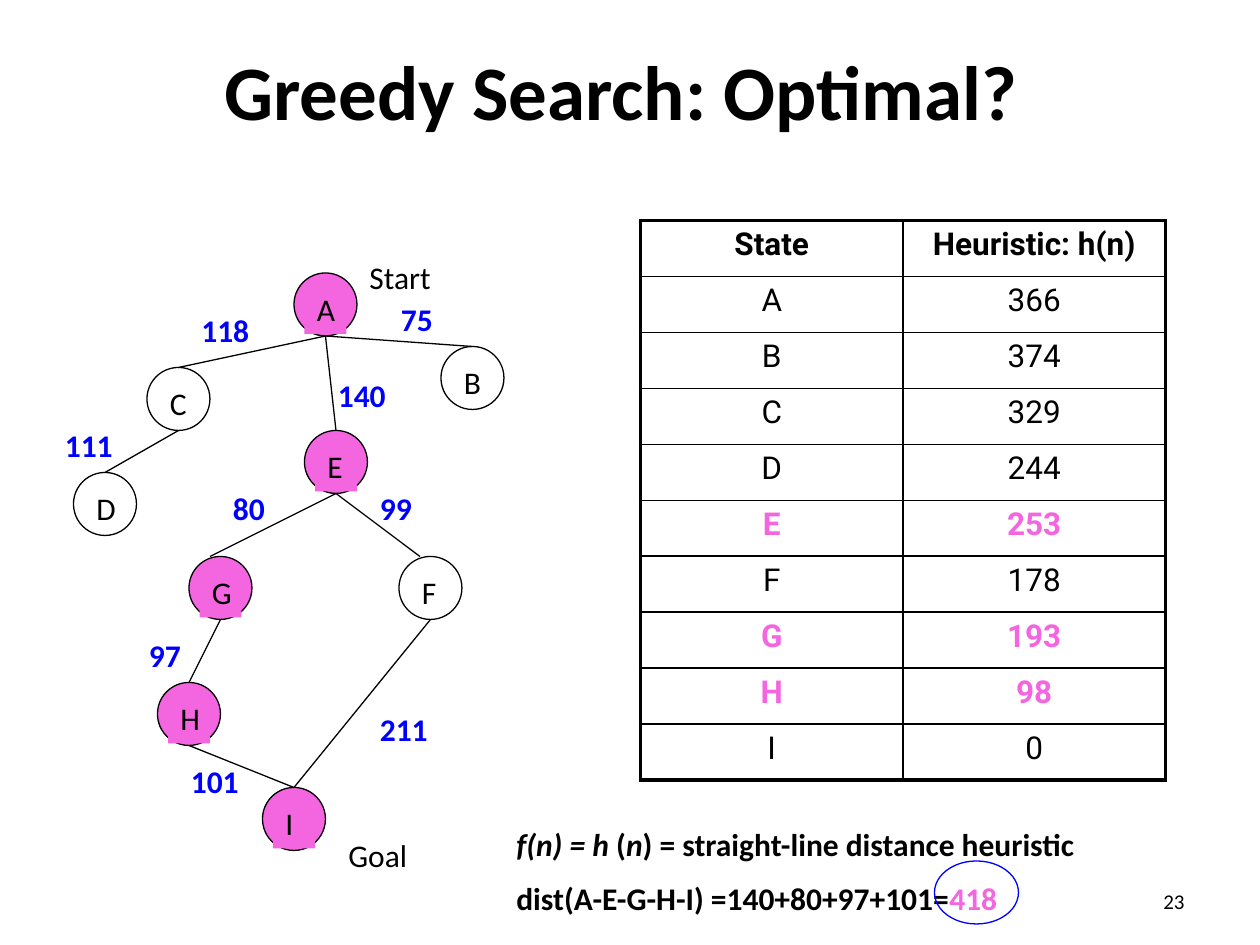
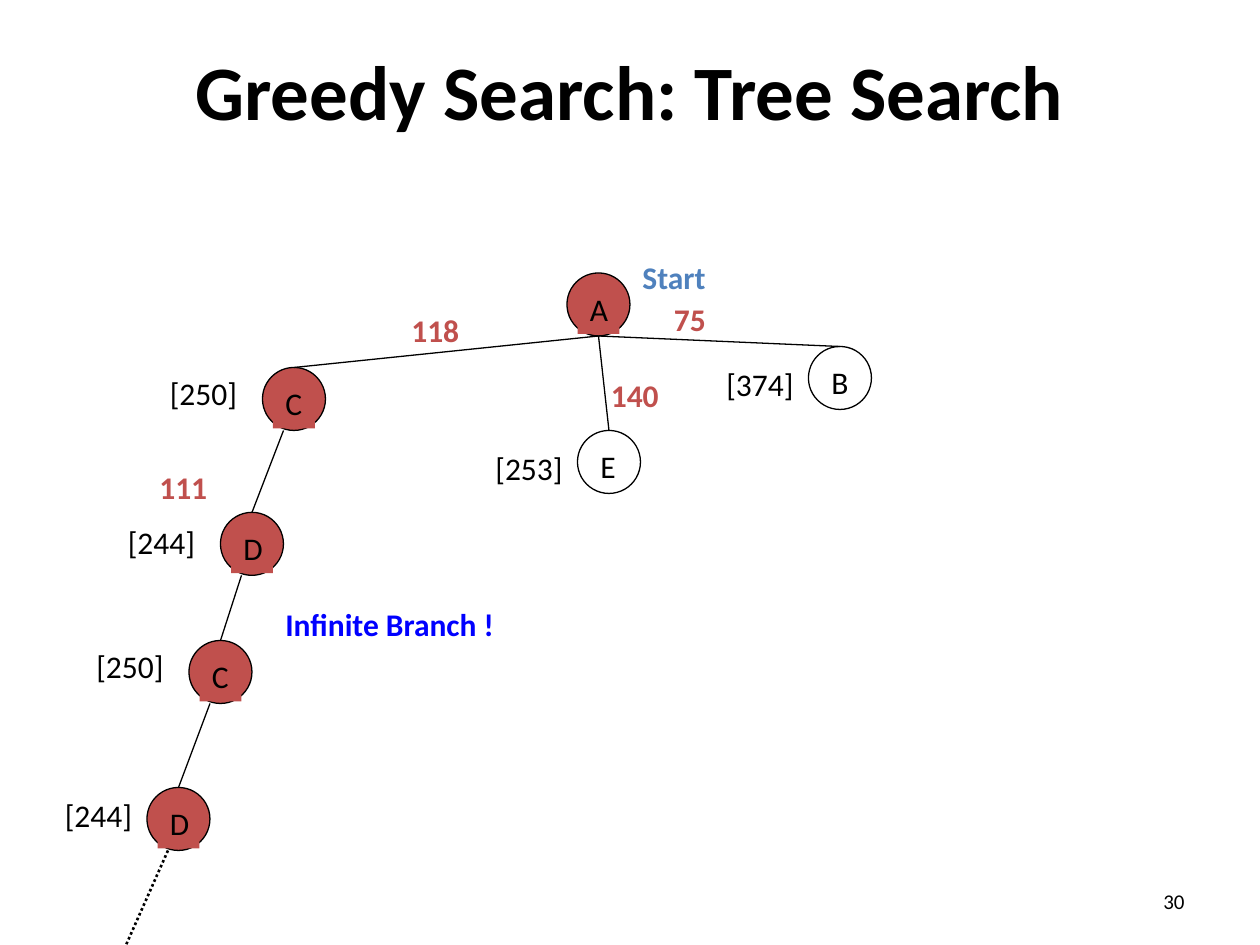
from lxml.etree import SubElement
from pptx import Presentation
from pptx.dml.color import RGBColor as RGB
from pptx.enum.dml import MSO_LINE as DASH
from pptx.enum.shapes import MSO_CONNECTOR as LINE, MSO_SHAPE as SHAPE
from pptx.enum.text import MSO_ANCHOR as ANCHOR, MSO_AUTO_SIZE as AUTO, PP_ALIGN as ALIGN
from pptx.oxml.ns import qn
from pptx.util import Inches, Pt

BLACK = RGB(0x00, 0x00, 0x00)
BLUE = RGB(0x00, 0x00, 0xFF)
PINK = RGB(0xF4, 0x66, 0xE0)
RED = RGB(0xC0, 0x50, 0x4D)
STEEL = RGB(0x4F, 0x81, 0xBD)

WIDTH, HEIGHT = Inches(10), Inches(7.5)
COLS, ROWS = 120, 90
NODE = 6
LABEL_ROWS = 4.8

HEURISTIC = [("State", "Heuristic: h(n)"), ("A", "366"), ("B", "374"), ("C", "329"),
             ("D", "244"), ("E", "253"), ("F", "178"), ("G", "193"), ("H", "98"), ("I", "0")]


def x(cols):
    """Convert grid columns to a length."""
    return round(WIDTH * cols / COLS)


def y(rows):
    """Convert grid rows to a length."""
    return round(HEIGHT * rows / ROWS)


def box(col, row, cols, rows):
    """Return left, top, width and height of a grid area."""
    return x(col), y(row), x(cols), y(rows)


def add_run(p, text, color=BLACK, bold=False, italic=False, size=18, font="Calibri"):
    """Append one formatted run to a paragraph."""
    r = p.add_run()
    r.text = text
    f = r.font
    f.name, f.size, f.bold, f.italic = font, Pt(size), bold, italic
    f.color.rgb = color


def add_label(shapes, text, col, row, cols=11, rows=LABEL_ROWS, **style):
    """Add a text box holding one run and return it."""
    sp = shapes.add_textbox(*box(col, row, cols, rows))
    sp.text_frame.word_wrap = True
    add_run(sp.text_frame.paragraphs[0], text, **style)
    return sp


def add_ellipse(shapes, area, line, fill=None):
    """Add a thinly outlined ellipse, filled if a colour is given."""
    sp = shapes.add_shape(SHAPE.OVAL, *box(*area))
    sp.shadow.inherit = False
    sp.line.color.rgb = line
    sp.line.width = Pt(0.75)
    if fill is None:
        sp.fill.background()
    else:
        sp.fill.solid()
        sp.fill.fore_color.rgb = fill


def add_node(s, name, col, row, fill=None):
    """Add a tree node: a circle grouped with its letter."""
    shapes = s.shapes.add_group_shape().shapes
    add_ellipse(shapes, (col, row, NODE, NODE), BLACK, fill)
    letter = add_label(shapes, name, col + 1, row + 1, 4)
    if fill is not None:
        letter.fill.solid()
        letter.fill.fore_color.rgb = fill


def add_line(s, start, end, width=0.75, dash=None):
    """Draw a black line between two grid points."""
    c = s.shapes.add_connector(LINE.STRAIGHT, x(start[0]), y(start[1]), x(end[0]), y(end[1]))
    c.line.color.rgb = BLACK
    c.line.width = Pt(width)
    if dash is not None:
        c.line.dash_style = dash
    SubElement(c.element.spPr, qn("a:effectLst"))


def add_tree(s, nodes, edges, visited, fill):
    """Draw nodes, then edges from parent bottom to child top, shifted in columns."""
    for key, (col, row) in nodes.items():
        add_node(s, key[0], col, row, fill if key in visited else None)
    for parent, child, from_shift, to_shift in edges:
        (pc, pr), (cc, cr) = nodes[parent], nodes[child]
        add_line(s, (pc + NODE / 2 + from_shift, pr + NODE), (cc + NODE / 2 + to_shift, cr))


def add_costs(s, costs, color):
    """Label the edges with their step costs."""
    for text, col, row in costs:
        add_label(s.shapes, text, col, row, color=color, bold=True)


def set_border(cell, side, width):
    """Give one side of a cell a black border."""
    ln = SubElement(cell._tc.get_or_add_tcPr(), qn(f"a:ln{side}"), w=str(Pt(width)))
    SubElement(SubElement(ln, qn("a:solidFill")), qn("a:srgbClr"), val=str(BLACK))


def add_table(s, rows, chosen):
    """Add the heuristic table with a thick frame and chosen states highlighted."""
    last_row, last_col = len(rows) - 1, len(rows[0]) - 1
    tbl = s.shapes.add_table(len(rows), len(rows[0]), *box(61, 21, 50, 53.3)).table
    tbl.first_row = tbl.horz_banding = False
    for i, values in enumerate(rows):
        for j, text in enumerate(values):
            cell = tbl.cell(i, j)
            outer = {"L": j == 0, "R": j == last_col, "T": i == 0, "B": i == last_row}
            for side, thick in outer.items():
                set_border(cell, side, 2.25 if thick else 1)
            cell.fill.background()
            p = cell.text_frame.paragraphs[0]
            p.alignment = ALIGN.CENTER
            hit = values[0] in chosen
            add_run(p, text, PINK if hit else BLACK, bold=hit or i == 0, font="Roboto")


def add_slide(prs, title, number):
    """Add a slide with the shared title style and page number."""
    s = prs.slides.add_slide(prs.slide_layouts[5])
    sp = s.shapes.title
    sp.left, sp.top, sp.width, sp.height = box(1, 1, 118, 15)
    tf = sp.text_frame
    tf.auto_size, tf.vertical_anchor = AUTO.NONE, ANCHOR.MIDDLE
    p = tf.paragraphs[0]
    p.alignment = ALIGN.CENTER
    add_run(p, title, bold=True, size=44)
    tf = add_label(s.shapes, number, 86, 83.4, 28, size=12).text_frame
    tf.vertical_anchor = ANCHOR.MIDDLE
    tf.paragraphs[0].alignment = ALIGN.RIGHT
    return s


def add_distance(s):
    """State the heuristic and the length of the path found."""
    sp = add_label(s.shapes, "f(n) = h ", 48, 78, 72, 10.2, bold=True, italic=True)
    p = sp.text_frame.paragraphs[0]
    add_run(p, "(", bold=True)
    add_run(p, "n", bold=True, italic=True)
    add_run(p, ") = straight-line distance heuristic", bold=True)
    p = sp.text_frame.add_paragraph()
    p.space_before = Pt(9)
    add_run(p, "dist(A-E-G-H-I) =140+80+97+101=", bold=True)
    add_run(p, "418", PINK, bold=True)
    add_ellipse(s.shapes, (89, 82, 8, 6), BLUE)


def build_optimal(prs):
    """Build the slide that tests whether greedy search is optimal."""
    s = add_slide(prs, "Greedy Search: Optimal? ", "23")
    add_table(s, HEURISTIC, "EGH")
    nodes = {"A": (28, 26), "B": (42, 33), "D": (7, 45), "C": (14, 35), "E": (29, 41),
             "F": (38, 53), "I": (25, 75), "G": (18, 53), "H": (15, 65)}
    edges = [("E", "F", 0, -1), ("F", "I", 0, 0), ("E", "G", 0, -1), ("G", "H", 0, 0),
             ("H", "I", 0, 0), ("A", "B", 0, 0), ("A", "E", 0, 0), ("A", "C", 0, 0),
             ("C", "D", 0, 0)]
    add_tree(s, nodes, edges, "AEGHI", PINK)
    add_costs(s, [("99", 35, 46), ("211", 35, 67), ("80", 21, 46), ("97", 13, 60),
                  ("101", 17, 72), ("75", 37, 28), ("118", 18, 29), ("111", 5, 40),
                  ("140", 31, 35.2)], BLUE)
    add_label(s.shapes, "Start", 34, 24, 16)
    add_label(s.shapes, "Goal", 32, 79, 16)
    add_distance(s)


def build_tree_search(prs):
    """Build the slide that shows the infinite branch of tree search."""
    s = add_slide(prs, "Greedy Search: Tree Search", "30")
    nodes = {"A": (54, 26), "B": (77, 33), "C": (25, 35), "E": (55, 41),
             "D": (21, 48.8), "C2": (18, 61), "D2": (14, 75)}
    edges = [("C", "D", -1, 0), ("A", "B", 0, 0), ("A", "E", 0, 0), ("A", "C", 0, 0),
             ("D", "C2", -1, 0), ("C2", "D2", -1, 0)]
    add_tree(s, nodes, edges, ("A", "C", "D", "C2", "D2"), RED)
    add_line(s, (16, 81), (12, 90), 1.5, DASH.ROUND_DOT)
    add_costs(s, [("111", 14, 44), ("75", 63, 28), ("118", 38, 29), ("140", 57, 35.2)], RED)
    for text, col, row in [("[374]", 68, 34.2), ("[250]", 15, 35), ("[253]", 46, 42.2),
                           ("[244]", 11, 49.2), ("[250]", 8, 61), ("[244]", 5, 75.2)]:
        add_label(s.shapes, text, col, row)
    add_label(s.shapes, "Start", 60, 24, 16, color=STEEL, bold=True)
    add_label(s.shapes, "Infinite Branch !", 26, 57, 30, color=BLUE, bold=True)


def main():
    """Build and save the presentation."""
    prs = Presentation()
    prs.slide_width, prs.slide_height = WIDTH, HEIGHT
    build_optimal(prs)
    build_tree_search(prs)
    prs.save("out.pptx")


if __name__ == "__main__":
    main()
